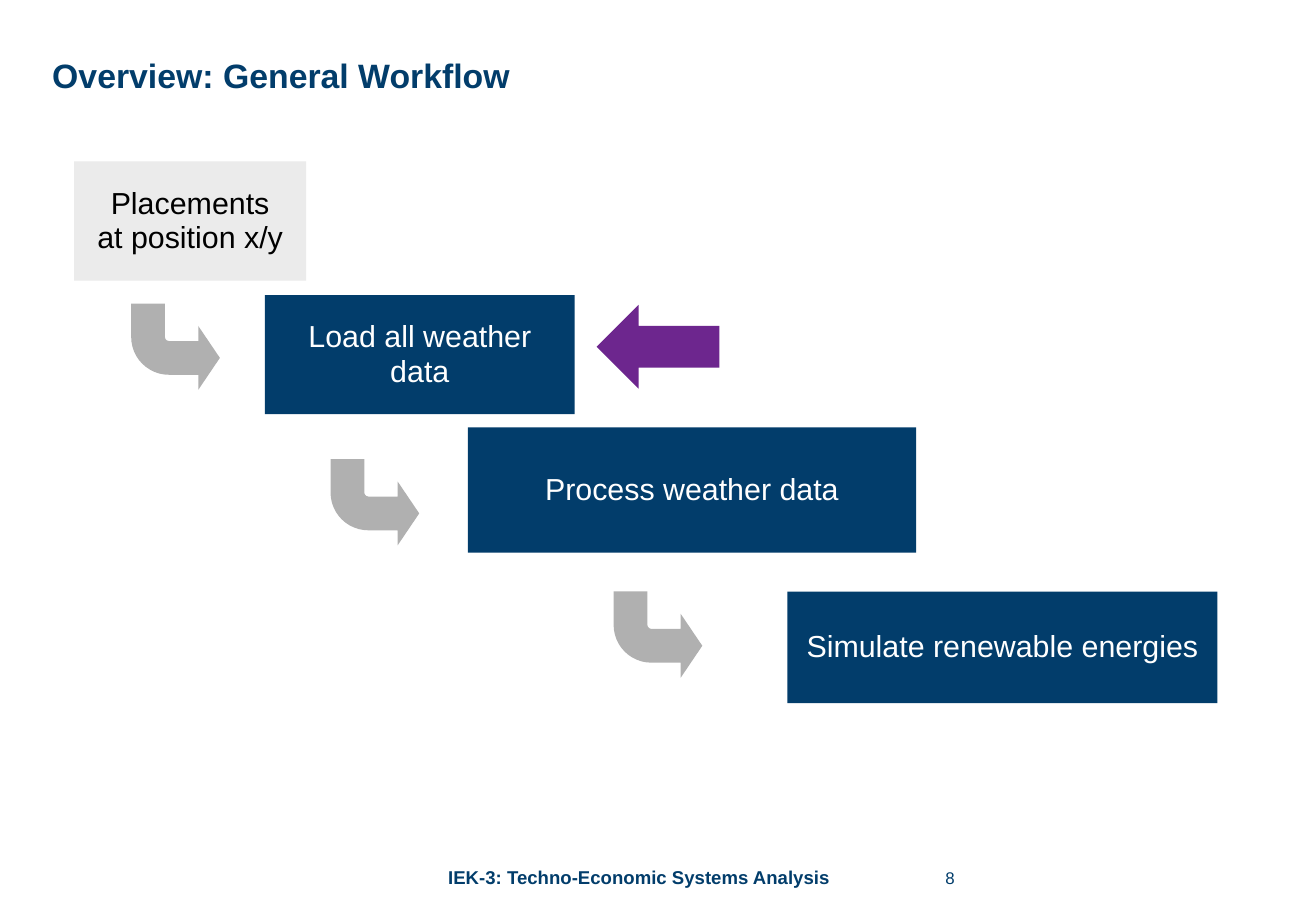
from pptx import Presentation
from pptx.dml.color import RGBColor
from pptx.enum.shapes import MSO_SHAPE
from pptx.enum.text import MSO_ANCHOR, PP_ALIGN
from pptx.util import Inches, Pt

RECTANGLE, BENT_ARROW, LEFT_ARROW = (
    MSO_SHAPE.RECTANGLE, MSO_SHAPE.BENT_ARROW, MSO_SHAPE.LEFT_ARROW)
LEFT, CENTER = PP_ALIGN.LEFT, PP_ALIGN.CENTER
TOP, MIDDLE = MSO_ANCHOR.TOP, MSO_ANCHOR.MIDDLE

WIDTH, HEIGHT = Inches(10.83), Inches(7.5)
COLUMNS = ROWS = 100
BLANK_LAYOUT = 6
FONT = "Arial"
COLORS = {"navy": "023D6B", "light": "EBEBEB", "gray": "B0B0B0",
          "purple": "6D268E", "black": "000000", "white": "FFFFFF"}

# Places are (column, row, columns wide, rows high).
LABELS = [
    ("Overview: General Workflow", (3.97, 4.67, 92.06, 6.4),
     {"size": Pt(20), "bold": True}, LEFT, MIDDLE, 1.14),
    ("IEK-3: Techno-Economic Systems Analysis", (29.64, 95.07, 37.86, 3.2),
     {"size": Pt(11), "bold": True}, CENTER, TOP, 1.0),
    ("8", (71.84, 95.2, 4.34, 3.33), {"size": Pt(10)}, LEFT, TOP, 1.0),
]
STEPS = [
    ("Placements\nat position x/y", (5.63, 17.73, 17.64, 13.07), "light", "black"),
    ("Load all weather data", (20.13, 32.4, 23.55, 13.07), "navy", "white"),
    ("Process weather data", (35.55, 46.93, 34.07, 13.73), "navy", "white"),
    ("Simulate renewable energies", (59.83, 64.93, 32.69, 12.27), "navy", "white"),
]
BEND_STARTS = [(9.97, 33.33), (25.12, 50.4), (46.63, 64.93)]
BEND_SIZE = (6.74, 9.47)
BEND_ADJUSTMENTS = (0.391, 0.37, 0.25, 0.438)
POINTER_PLACE = (45.34, 33.47, 9.33, 9.2)


def on_grid(place):
    column, row, wide, high = place
    return (round(column * WIDTH / COLUMNS), round(row * HEIGHT / ROWS),
            round(wide * WIDTH / COLUMNS), round(high * HEIGHT / ROWS))


def write(frame, text, color, font, align, anchor, spacing):
    frame.word_wrap = True
    frame.vertical_anchor = anchor
    frame.text = text
    for para in frame.paragraphs:
        para.alignment = align
        para.line_spacing = spacing
        for span in para.runs:
            span.font.color.rgb = RGBColor.from_string(COLORS[color])
            for name, value in {"name": FONT, **font}.items():
                setattr(span.font, name, value)


def add_label(page, text, place, font, align, anchor, spacing):
    """Add navy text in a box without margins."""
    frame = page.shapes.add_textbox(*on_grid(place)).text_frame
    for side in ("left", "top", "right", "bottom"):
        setattr(frame, f"margin_{side}", 0)
    write(frame, text, "navy", font, align, anchor, spacing)


def add_flat_shape(page, kind, place, color):
    shape = page.shapes.add_shape(kind, *on_grid(place))
    shape.shadow.inherit = False
    shape.fill.solid()
    shape.fill.fore_color.rgb = RGBColor.from_string(COLORS[color])
    shape.line.fill.background()
    return shape


def add_step(page, text, place, fill, color):
    box = add_flat_shape(page, RECTANGLE, place, fill)
    write(box.text_frame, text, color, {"size": Pt(18)}, CENTER, MIDDLE, 0.95)


def add_bend(page, start):
    """Add an arrow that runs down and then right."""
    bend = add_flat_shape(page, BENT_ARROW, start + BEND_SIZE, "gray")
    for index, value in enumerate(BEND_ADJUSTMENTS):
        bend.adjustments[index] = value
    bend.element.spPr.xfrm.set("flipV", "1")


def main():
    deck = Presentation()
    deck.slide_width, deck.slide_height = WIDTH, HEIGHT
    page = deck.slides.add_slide(deck.slide_layouts[BLANK_LAYOUT])
    for label in LABELS:
        add_label(page, *label)
    for step in STEPS:
        add_step(page, *step)
    for start in BEND_STARTS:
        add_bend(page, start)
    add_flat_shape(page, LEFT_ARROW, POINTER_PLACE, "purple")
    deck.save("out.pptx")


if __name__ == "__main__":
    main()
